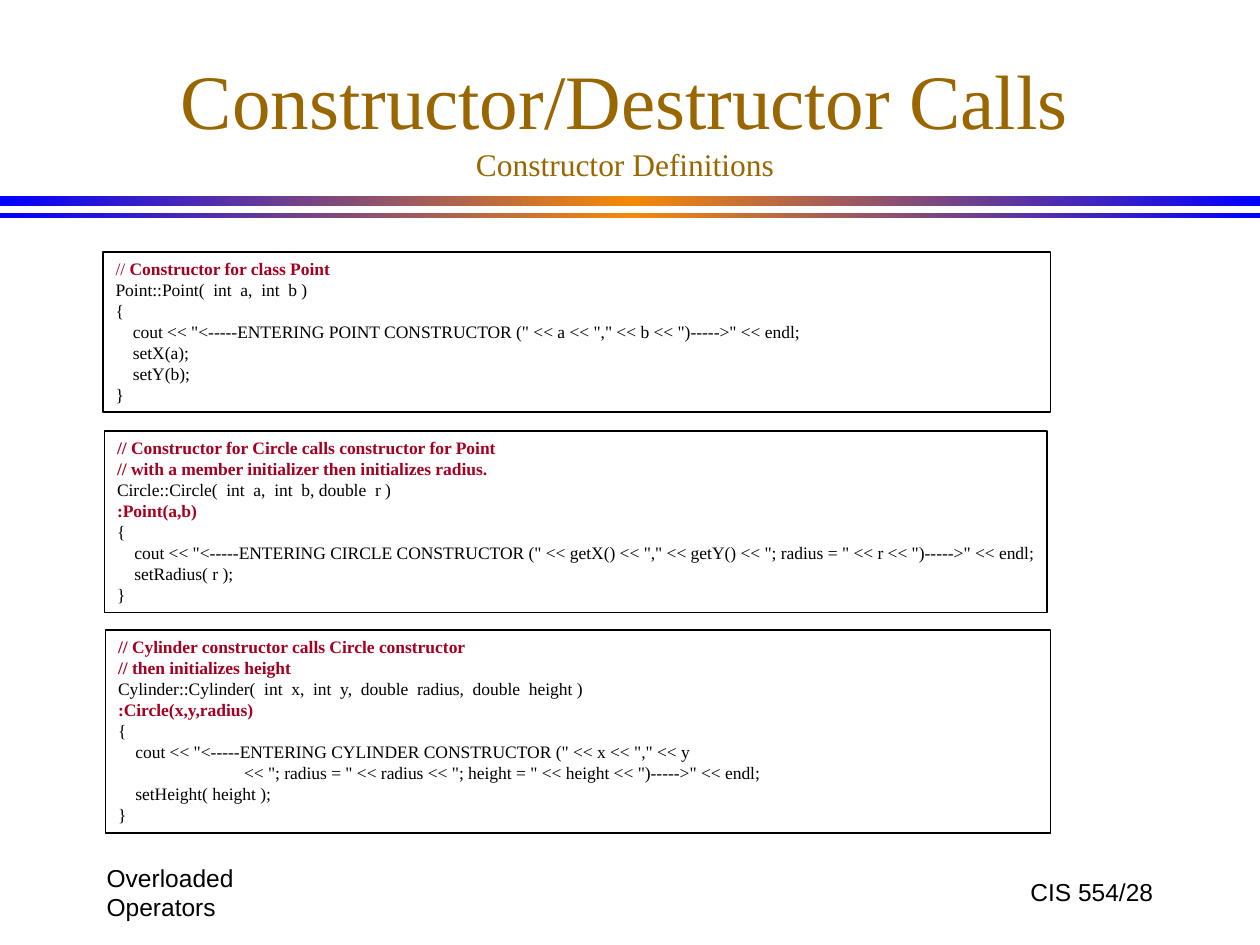
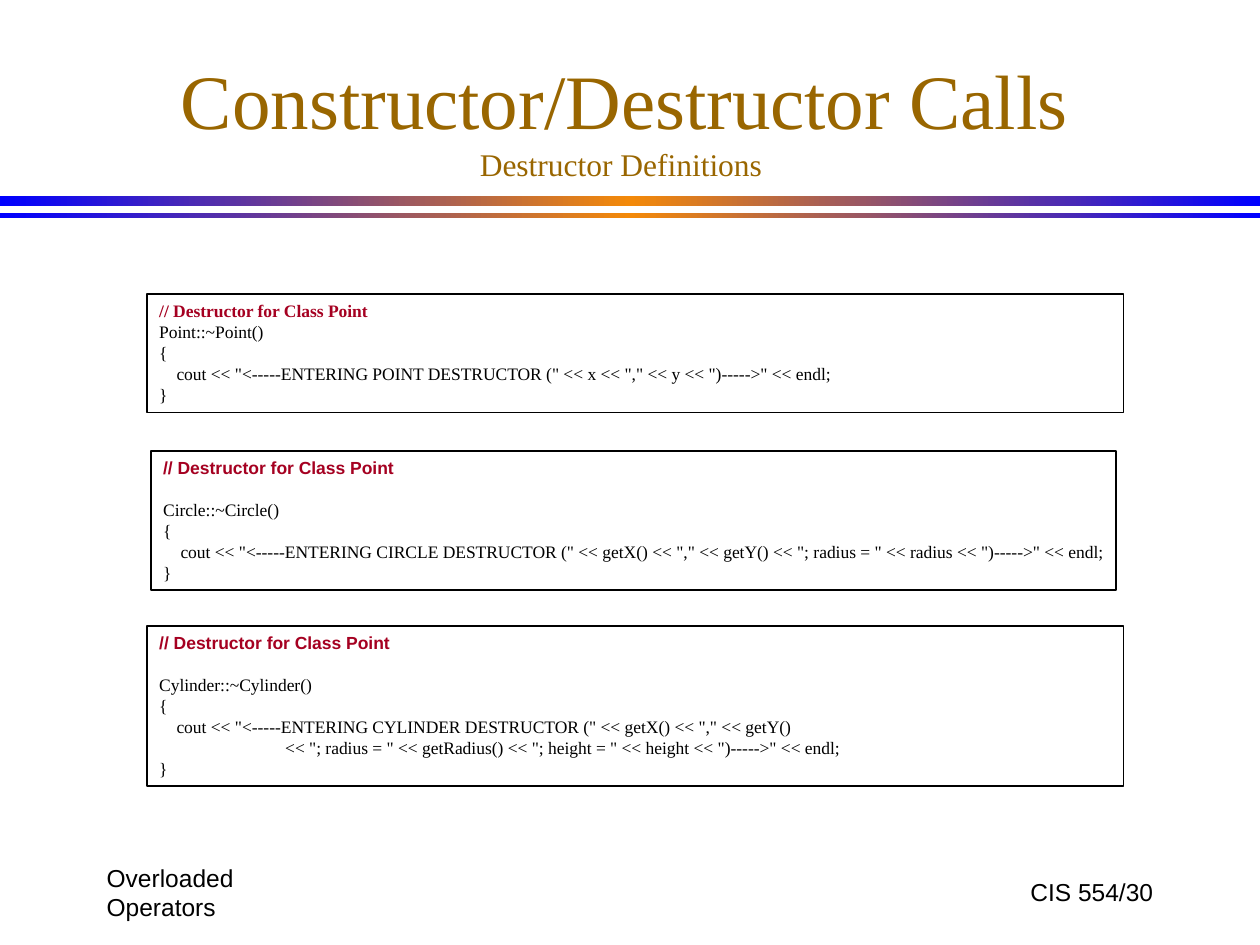
"""Builds two slides of C++ constructor and destructor code."""
from copy import deepcopy

from pptx import Presentation
from pptx.dml.color import RGBColor
from pptx.enum.shapes import MSO_SHAPE as Form
from pptx.enum.text import MSO_ANCHOR as Anchor, MSO_AUTO_SIZE as Fit, PP_ALIGN as Align
from pptx.oxml.ns import qn
from pptx.util import Cm, Pt

SERIF, SANS = "Times New Roman", "Arial"
BLACK, RED, GOLD = "000000", "A50021", "996600"
BLUE, AMBER = "0000FF", "F38909"
INDENT = {0: 0, 4: 0.35, 8: 2.54}

MAKE_POINT = '''// Constructor for class Point
Point::Point(  int  a,  int  b )
{
    cout << "<-----ENTERING POINT CONSTRUCTOR (" << a << "," << b << ")----->" << endl;
    setX(a);
    setY(b);
}'''
MAKE_CIRCLE = '''// Constructor for Circle calls constructor for Point
// with a member initializer then initializes radius.
Circle::Circle(  int  a,  int  b, double  r )
:Point(a,b)
{
    cout << "<-----ENTERING CIRCLE CONSTRUCTOR (" << getX() << "," << getY() << "; radius = " << r << ")----->" << endl;
    setRadius( r );
}'''
MAKE_TUBE = '''// Cylinder constructor calls Circle constructor
// then initializes height
Cylinder::Cylinder(  int  x,  int  y,  double  radius,  double  height )
:Circle(x,y,radius)
{
    cout << "<-----ENTERING CYLINDER CONSTRUCTOR (" << x << "," << y
        << "; radius = " << radius << "; height = " << height << ")----->" << endl;
    setHeight( height );
}'''
END_POINT = '''// Destructor for Class Point
Point::~Point()
{
    cout << "<-----ENTERING POINT DESTRUCTOR (" << x << "," << y << ")----->" << endl;
}'''
END_CIRCLE = '''// Destructor for Class Point
Circle::~Circle()
{
    cout << "<-----ENTERING CIRCLE DESTRUCTOR (" << getX() << "," << getY() << "; radius = " << radius << ")----->" << endl;
}'''
END_TUBE = '''// Destructor for Class Point
Cylinder::~Cylinder()
{
    cout << "<-----ENTERING CYLINDER DESTRUCTOR (" << getX() << "," << getY()
        << "; radius = " << getRadius() << "; height = " << height << ")----->" << endl;
}'''


def tint(code):
    return RGBColor.from_string(code)


def put(para, text, size=10, color=BLACK, font=SERIF, bold=False):
    run = para.add_run()
    run.text = text
    run.font.size, run.font.name, run.font.bold = Pt(size), font, bold
    run.font.color.rgb = tint(color)


class Deck:
    def __init__(self):
        self.prs = Presentation()
        self.prs.slide_width, self.prs.slide_height = Cm(25.4), Cm(19.05)
        self.base = self.prs.slide_layouts[5]

    def page(self, topic, number):
        self.slide = self.prs.slides.add_slide(self.base)
        if len(self.prs.slides) == 1:
            self.band(3.96, 0.2)
            self.band(4.29, 0.1)
        self.label("Overloaded Operators", 1.9, Align.LEFT)
        self.label(f"CIS 554/{number}", 18.21, Align.RIGHT)
        self.title("Constructor/Destructor Calls", topic)

    def band(self, top, height):
        bar = self.slide.shapes.add_shape(Form.RECTANGLE, 0, Cm(top), self.prs.slide_width, Cm(height))
        bar.shadow.inherit = False
        bar.line.fill.background()
        bar.fill.gradient()
        bar.fill.gradient_angle = 0
        last = bar.element.spPr.findall(".//" + qn("a:gs"))[-1]
        last.addprevious(deepcopy(last))
        for stop, spot, code in zip(bar.fill.gradient_stops, (0, 0.5, 1), (BLUE, AMBER, BLUE)):
            stop.position, stop.color.rgb = spot, tint(code)
        self.base.shapes.element.append(bar.element)

    def label(self, text, left, align):
        frame = self.slide.shapes.add_textbox(Cm(left), Cm(17.35), Cm(5.29), Cm(1.27)).text_frame
        frame.word_wrap, frame.vertical_anchor = False, Anchor.MIDDLE
        frame.paragraphs[0].alignment = align
        put(frame.paragraphs[0], text, size=14, font=SANS)

    def title(self, text, topic):
        head = self.slide.shapes.title
        head.left, head.top, head.width, head.height = Cm(1.7), Cm(0.64), Cm(21.8), Cm(3.18)
        frame = head.text_frame
        frame.auto_size, frame.vertical_anchor = Fit.NONE, Anchor.BOTTOM
        para = frame.paragraphs[0]
        para.alignment = Align.CENTER
        put(para, text, size=44, color=GOLD)
        para.add_line_break()
        put(para, topic, size=18, color=GOLD)

    def code(self, text, left, top, width, height, wrap=True, head=SERIF, gap=0, light=""):
        box = self.slide.shapes.add_shape(Form.RECTANGLE, Cm(left), Cm(top), Cm(width), Cm(height))
        box.shadow.inherit = False
        box.fill.background()
        box.line.color.rgb, box.line.width = tint(BLACK), Pt(1)
        frame = box.text_frame
        frame.word_wrap, frame.auto_size = wrap, Fit.SHAPE_TO_FIT_TEXT
        frame.vertical_anchor = Anchor.TOP
        for row, line in enumerate(text.split("\n")):
            para = frame.add_paragraph() if row else frame.paragraphs[0]
            para.alignment = Align.LEFT
            words = line.lstrip()
            props = para._p.get_or_add_pPr()
            props.set("marL", str(Cm(INDENT[len(line) - len(words)])))
            if row == 0:
                para.space_after = Pt(gap)
                if light:
                    put(para, light, color=RED)
                    words = words.removeprefix(light)
            key = line.startswith(("//", ":"))
            put(para, words, color=RED if key else BLACK, bold=key, font=SERIF if row else head)


def main():
    deck = Deck()
    deck.page("Constructor Definitions", 28)
    deck.code(MAKE_POINT, 2.08, 5.08, 19.1, 3.23, light="// ")
    deck.code(MAKE_CIRCLE, 2.11, 8.69, 19, 3.66, wrap=False)
    deck.code(MAKE_TUBE, 2.13, 12.7, 19.05, 4.09)
    deck.page("Destructor Definitions ", 30)
    deck.code(END_POINT, 2.96, 5.93, 19.69, 2.39)
    deck.code(END_CIRCLE, 3.04, 9.09, 19.46, 2.8, wrap=False, head=SANS, gap=12)
    deck.code(END_TUBE, 2.96, 12.62, 19.69, 3.23, head=SANS, gap=12)
    deck.prs.save("out.pptx")


if __name__ == "__main__":
    main()
